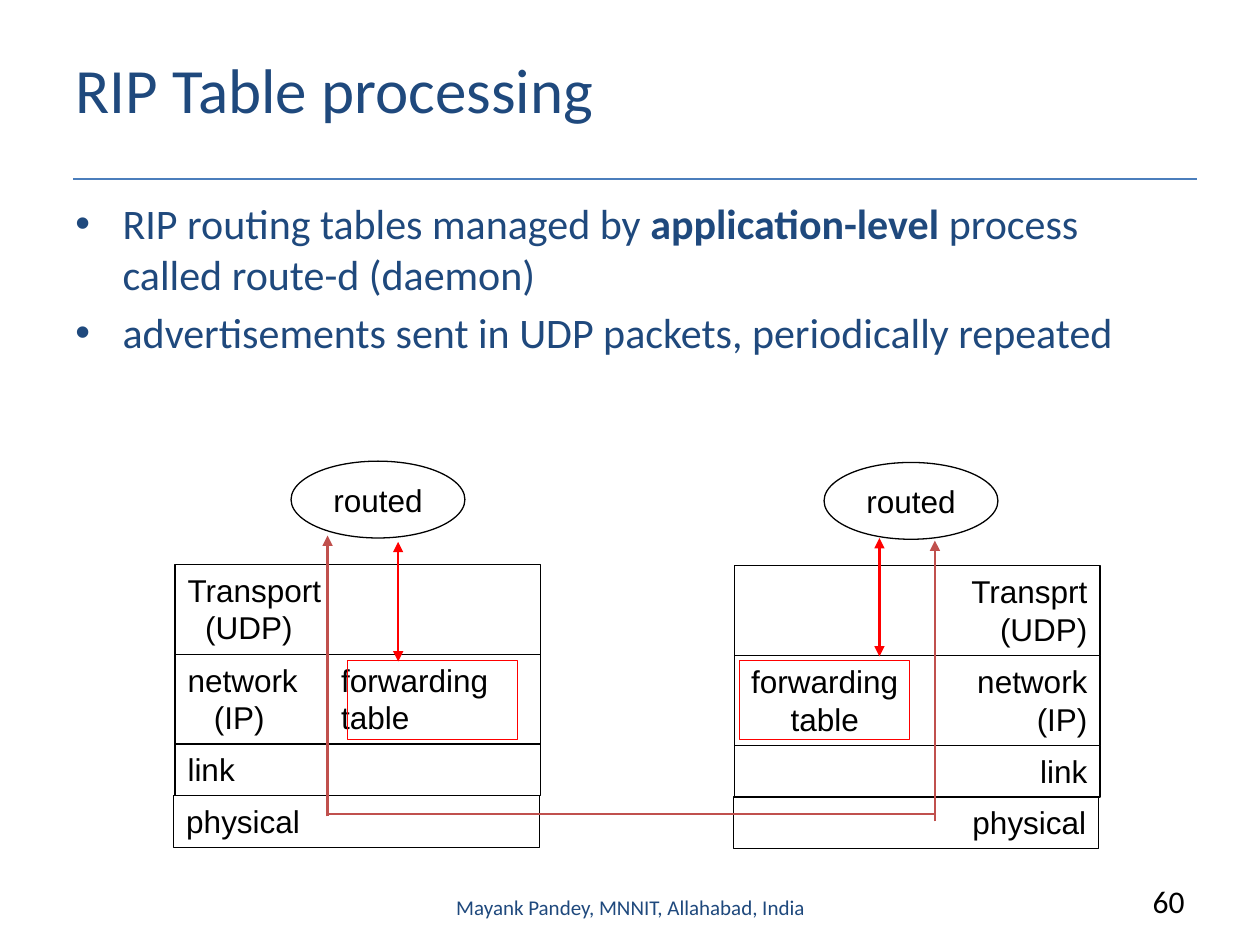
from dataclasses import dataclass

from lxml import etree
from pptx import Presentation
from pptx.dml.color import RGBColor
from pptx.enum.shapes import MSO_CONNECTOR, MSO_SHAPE
from pptx.enum.text import MSO_ANCHOR, MSO_AUTO_SIZE, PP_ALIGN
from pptx.oxml.ns import qn
from pptx.util import Inches, Pt

LEFT, MID, RIGHT = PP_ALIGN.LEFT, PP_ALIGN.CENTER, PP_ALIGN.RIGHT
TOP, CORE = MSO_ANCHOR.TOP, MSO_ANCHOR.MIDDLE
FIXED = MSO_AUTO_SIZE.NONE
RECT, OVAL = MSO_SHAPE.RECTANGLE, MSO_SHAPE.OVAL
LINE = MSO_CONNECTOR.STRAIGHT
NAVY, BLACK, RED, BRICK, RULE = "1F497D", "000000", "FF0000", "C0504D", "4B7EBC"
COLS, ROWS = 100, 75

deck = Presentation()
deck.slide_width, deck.slide_height = Inches(10), Inches(7.5)
slide = deck.slides.add_slide(deck.slide_layouts[5])


@dataclass
class Box:
    x: float
    y: float
    w: float
    h: float

    def emu(self) -> tuple:
        return (col(self.x), row(self.y), col(self.w), row(self.h))


@dataclass
class Layer:
    lines: list
    high: float
    shift: float = 0
    tabs: tuple = ()


@dataclass
class Stack:
    x: float
    y: float
    align: PP_ALIGN
    layers: list
    oval: Box
    table: Box
    label: list


@dataclass
class Arrow:
    x1: float
    y1: float
    x2: float
    y2: float
    color: str
    ends: tuple = ()
    width: float = 1.5


def col(n: float) -> int:
    return round(deck.slide_width * n / COLS)


def row(n: float) -> int:
    return round(deck.slide_height * n / ROWS)


def tint(code: str) -> RGBColor:
    return RGBColor.from_string(code)


def style(para, size: float, face: str, color: str, align=LEFT) -> None:
    para.alignment = align
    para.font.size, para.font.name = Pt(size), face
    para.font.color.rgb = tint(color)


def write(frame, lines, size, face, color, align=LEFT, anchor=TOP, wrap=True, tabs=()) -> None:
    frame.auto_size, frame.word_wrap = FIXED, wrap
    frame.vertical_anchor = anchor
    for i, line in enumerate(lines):
        para = frame.paragraphs[0] if i == 0 else frame.add_paragraph()
        para.text = line
        if tabs:
            stops = etree.SubElement(para._p.get_or_add_pPr(), qn("a:tabLst"))
            for stop in tabs:
                etree.SubElement(stops, qn("a:tab"), pos=str(col(stop)), algn="l")
        style(para, size, face, color, align)


def shape(kind, box: Box, color: str, lines=(), **opts) -> None:
    item = slide.shapes.add_shape(kind, *box.emu())
    item.shadow.inherit = False
    item.fill.background()
    item.line.color.rgb, item.line.width = tint(color), Pt(0.75)
    write(item.text_frame, lines, 18, "Arial", BLACK, **opts)


def draw(arrow: Arrow) -> None:
    item = slide.shapes.add_connector(
        LINE, col(arrow.x1), row(arrow.y1), col(arrow.x2), row(arrow.y2))
    item.line.color.rgb, item.line.width = tint(arrow.color), Pt(arrow.width)
    stroke = item.line._get_or_add_ln()
    for end in arrow.ends:
        etree.SubElement(stroke, qn(f"a:{end}"), type="triangle")
    etree.SubElement(item._element.spPr, qn("a:effectLst"))


def note(box: Box, text: str, size: float, color: str, **opts) -> None:
    item = slide.shapes.add_textbox(*box.emu())
    write(item.text_frame, [text], size, "Calibri", color, **opts)


def bullets(box: Box, items: list) -> None:
    frame = slide.shapes.add_textbox(*box.emu()).text_frame
    frame.word_wrap = True
    for i, parts in enumerate(items):
        para = frame.paragraphs[0] if i == 0 else frame.add_paragraph()
        if i:
            para.space_before = Pt(4.8)
        props = para._p.get_or_add_pPr()
        props.set("marL", str(col(3.75)))
        props.set("indent", str(-col(3.75)))
        etree.SubElement(props, qn("a:buFont"), typeface="Arial")
        etree.SubElement(props, qn("a:buChar"), char="•")
        for text, bold in parts:
            run = para.add_run()
            run.text = text
            if bold:
                run.font.bold = True
        style(para, 24, "Calibri", NAVY)


def tower(stack: Stack) -> None:
    y = stack.y
    for layer in stack.layers:
        shape(RECT, Box(stack.x + layer.shift, y, 29, layer.high), BLACK, layer.lines,
              align=stack.align, tabs=layer.tabs)
        y += layer.high
    shape(OVAL, stack.oval, BLACK, ["routed"], align=MID, anchor=CORE, wrap=False)
    shape(RECT, stack.table, RED, stack.label, align=MID, anchor=CORE, wrap=False)


HIGH, LOW = 7.13, 4.1
BASE = [Layer(["link"], LOW), Layer(["physical"], LOW, shift=-0.1)]
STACKS = [
    Stack(13.9, 44.8, LEFT,
          [Layer(["Transport", "\t(UDP)"], HIGH, tabs=(1.4,)),
           Layer(["network\tforwarding", "\t(IP)\ttable"], HIGH, tabs=(2.1, 12.2, 14.4))] + BASE,
          Box(23.1, 36.6, 13.8, 6.1), Box(27.6, 52.4, 13.5, 6.3), []),
    Stack(58.3, 44.9, RIGHT,
          [Layer(["Transprt", "(UDP)"], HIGH), Layer(["network", "(IP)"], HIGH)] + BASE,
          Box(65.4, 36.7, 13.8, 6.1), Box(58.7, 52.4, 13.5, 6.3), ["forwarding", "table"]),
]
STACKS[0].layers[1].tabs = (2.1, 12.2, 14.4)
BOTH = ("headEnd", "tailEnd")
ARROWS = [
    Arrow(5.8, 14.2, 95, 14.2, RULE, width=0.75),
    Arrow(26, 64.8, 26, 42.5, BRICK, ("tailEnd",)),
    Arrow(74.2, 65.2, 74.2, 42.9, BRICK, ("tailEnd",)),
    Arrow(26, 64.6, 74.3, 64.6, BRICK),
    Arrow(31.6, 43, 31.6, 52.5, RED, BOTH),
    Arrow(69.8, 42.7, 69.8, 52.1, RED, BOTH),
]

title = slide.shapes.title
title.left, title.top, title.width, title.height = Box(5, 0.8, 90, 12.5).emu()
write(title.text_frame, ["RIP Table processing"], 36, "Calibri", NAVY, anchor=CORE)
bullets(Box(5, 15.2, 90, 52), [
    [("RIP routing tables managed by ", False), ("application-level", True),
     (" process called route-d (daemon)", False)],
    [("advertisements sent in UDP packets, periodically repeated", False)],
])
for stack in STACKS:
    tower(stack)
for arrow in ARROWS:
    draw(arrow)
note(Box(34.2, 70, 31.7, 4), "Mayank Pandey, MNNIT, Allahabad, India", 12, NAVY,
     align=MID, anchor=CORE)
note(Box(87.5, 69.5, 7.5, 4), "60", 18, BLACK, align=RIGHT)
deck.save("out.pptx")
